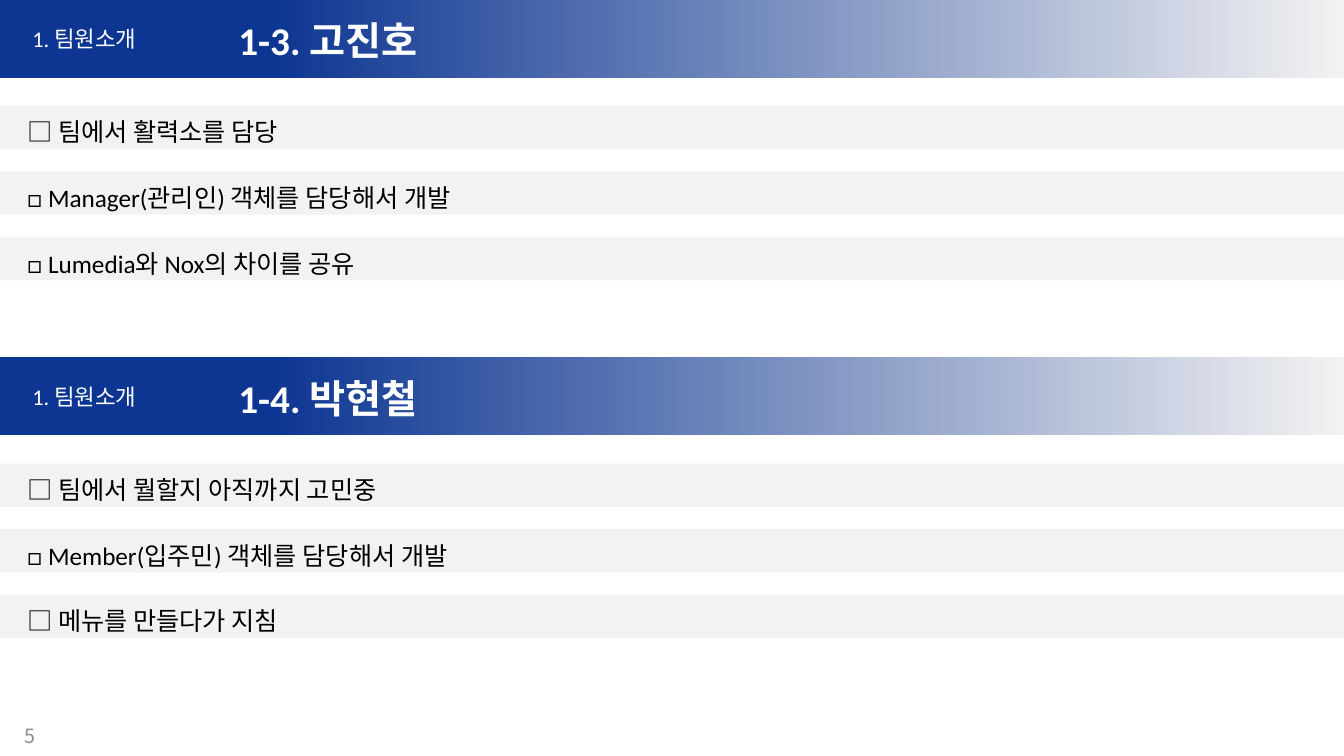
from pptx import Presentation
from pptx.dml.color import RGBColor
from pptx.enum.shapes import MSO_SHAPE
from pptx.enum.text import MSO_ANCHOR, PP_ALIGN
from pptx.oxml.ns import qn
from pptx.util import Inches, Pt
from lxml import etree

RECTANGLE = MSO_SHAPE.RECTANGLE
TOP, MIDDLE = MSO_ANCHOR.TOP, MSO_ANCHOR.MIDDLE
LEFT, RIGHT = PP_ALIGN.LEFT, PP_ALIGN.RIGHT

COLORS = {
    "navy": "0D3692",
    "mist": "F2F2F2",
    "white": "FFFFFF",
    "black": "000000",
    "gray": "8C8C8C",
}
LATIN_FONT = "Calibri"
KOREAN_FONT = "Noto Sans CJK KR"
COLUMNS, ROWS = 60, 150
SECTION_ROWS = 71
FIRST_BAND_ROW, BAND_PITCH = 21, 13

MEMBERS = [
    ("1-3. 고진호", [
        "팀에서 활력소를 담당",
        "Manager(관리인) 객체를 담당해서 개발",
        "Lumedia와 Nox의 차이를 공유",
    ]),
    ("1-4. 박현철", [
        "팀에서 뭘할지 아직까지 고민중",
        "Member(입주민) 객체를 담당해서 개발",
        "메뉴를 만들다가 지침",
    ]),
]


class MemberPage:
    def __init__(self, deck):
        self.column = deck.slide_width / COLUMNS
        self.row = deck.slide_height / ROWS
        self.page = deck.slides.add_slide(deck.slide_layouts[6])

    def place(self, column, row, columns, rows):
        return (round(column * self.column), round(row * self.row),
                round(columns * self.column), round(rows * self.row))

    def color(self, name):
        return RGBColor.from_string(COLORS[name])

    def fill_text(self, box, text, size, color, font=LATIN_FONT, bold=False,
                  align=LEFT, anchor=TOP):
        frame = box.text_frame
        frame.word_wrap = True
        frame.vertical_anchor = anchor
        frame.text = text
        para = frame.paragraphs[0]
        para.alignment = align
        span = para.runs[0]
        span.font.size = Pt(size)
        span.font.bold = bold
        span.font.name = font
        span.font.color.rgb = self.color(color)
        properties = span.font._element
        etree.SubElement(properties, qn("a:ea")).set("typeface", KOREAN_FONT)
        return para

    def text(self, area, text, size, color, **style):
        box = self.page.shapes.add_textbox(*self.place(*area))
        self.fill_text(box, text, size, color, **style)

    def bar(self, row, rows):
        box = self.page.shapes.add_shape(
            RECTANGLE, *self.place(0, row, COLUMNS, rows))
        box.shadow.inherit = False
        box.line.fill.background()
        return box

    def header(self, row, title):
        box = self.bar(row - 0.2, 15.6)
        box.fill.gradient()
        box.fill.gradient_angle = 180
        stops = box.fill.gradient_stops
        for stop, position, name in zip(stops, (0, 0.8), ("mist", "navy")):
            stop.position = position
            stop.color.rgb = self.color(name)
        self.text((1, row + 4, 11.35, 7.4), "1. 팀원소개", 16, "white")
        self.text((10.2, row + 2.2, 18, 11.4), title, 28, "white", bold=True)

    def band(self, row, text):
        box = self.bar(row, 8.6)
        box.fill.solid()
        box.fill.fore_color.rgb = self.color("mist")
        box.text_frame.margin_left = Inches(0.27)
        para = self.fill_text(box, f"□ {text}", 18, "black")
        para.line_spacing = 1.2

    def member(self, row, title, duties):
        self.header(row, title)
        for index, duty in enumerate(duties):
            self.band(row + FIRST_BAND_ROW + index * BAND_PITCH, duty)

    def number(self, value):
        self.text((0, 142, 2, 8), value, 14, "gray", font=KOREAN_FONT,
                  align=RIGHT, anchor=MIDDLE)


def main():
    deck = Presentation()
    deck.slide_width, deck.slide_height = Inches(13.33), Inches(7.5)
    team = MemberPage(deck)
    for index, (title, duties) in enumerate(MEMBERS):
        team.member(index * SECTION_ROWS, title, duties)
    team.number("5")
    deck.save("out.pptx")


if __name__ == "__main__":
    main()
